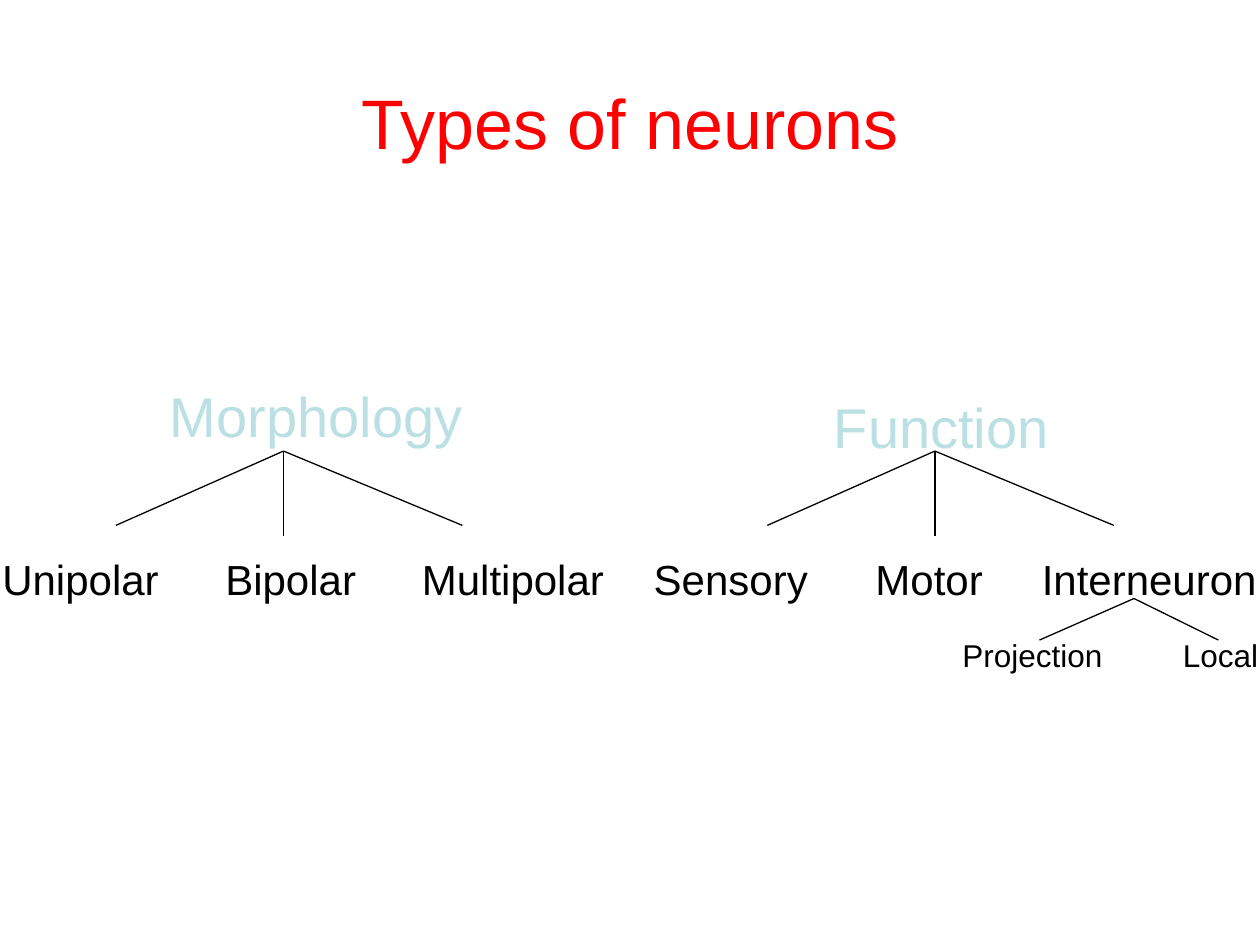
from pptx import Presentation
from pptx.dml.color import RGBColor
from pptx.enum.shapes import MSO_CONNECTOR
from pptx.enum.text import MSO_AUTO_SIZE, PP_ALIGN
from pptx.oxml.ns import qn
from pptx.util import Inches, Pt
from lxml import etree

LEFT, CENTER = PP_ALIGN.LEFT, PP_ALIGN.CENTER
STRAIGHT = MSO_CONNECTOR.STRAIGHT
GROW = MSO_AUTO_SIZE.SHAPE_TO_FIT_TEXT


def rgb(value):
    return RGBColor.from_string(value)


def write(tf, text, size=24, color="000000", align=LEFT, font="Arial"):
    p = tf.paragraphs[0]
    p.alignment = align
    r = p.add_run()
    r.text = text
    r.font.name = font
    r.font.size = Pt(size)
    r.font.color.rgb = rgb(color)


class Diagram:
    title_color = "FF0000"
    heading_color = "BBE0E3"
    line_color = "000000"
    line_width = 0.75

    def __init__(self, slide):
        self.s = slide

    def label(self, text, x, y, w, h, wrap=False, **fmt):
        sp = self.s.shapes.add_textbox(Inches(x), Inches(y), Inches(w), Inches(h))
        tf = sp.text_frame
        tf.word_wrap = wrap
        tf.auto_size = GROW
        write(tf, text, **fmt)

    def title(self, text):
        self.label(text, 0, 0.58, 10, 0.77, wrap=True, size=40,
                   color=self.title_color, align=CENTER)

    def heading(self, text, x, y, w):
        self.label(text, x, y, w, 0.64, size=32, color=self.heading_color)

    def line(self, start, end):
        cxn = self.s.shapes.add_connector(
            STRAIGHT, *(Inches(v) for v in (*start, *end)))
        cxn.line.color.rgb = rgb(self.line_color)
        cxn.line.width = Pt(self.line_width)
        etree.SubElement(cxn._element.spPr, qn("a:effectLst"))

    def branches(self, x, y, offsets):
        for dx, dy in offsets:
            self.line((x, y), (x + dx, y + dy))


def main():
    prs = Presentation()
    prs.slide_width, prs.slide_height = Inches(10), Inches(7.5)
    d = Diagram(prs.slides.add_slide(prs.slide_layouts[6]))

    d.title("Types of neurons")

    # Two classifications: heading, x, y, width, branch x, types
    groups = [
        ("Morphology", 1.25, 2.98, 2.54, 2.25,
         [("Unipolar", -0.08, 1.46), ("Bipolar", 1.69, 1.26), ("Multipolar", 3.25, 1.66)]),
        ("Function", 6.52, 3.07, 1.92, 7.42,
         [("Sensory", 5.09, 1.44), ("Motor", 6.85, 1.07), ("Interneuron", 8.17, 1.92)]),
    ]
    for heading, x, y, w, branch_x, types in groups:
        d.heading(heading, x, y, w)
        for text, type_x, type_w in types:
            d.label(text, type_x, 4.34, type_w, 0.5)
        d.branches(branch_x, 3.58, [(-1.33, 0.59), (0, 0.67), (1.42, 0.59)])

    # Interneuron subtypes
    for text, x, w in [("Projection", 7.54, 1.33), ("Local", 9.29, 0.82)]:
        d.label(text, x, 5, w, 0.4, size=18)
    d.branches(9, 4.75, [(-0.75, 0.33), (0.67, 0.33)])

    prs.save("out.pptx")


if __name__ == "__main__":
    main()
